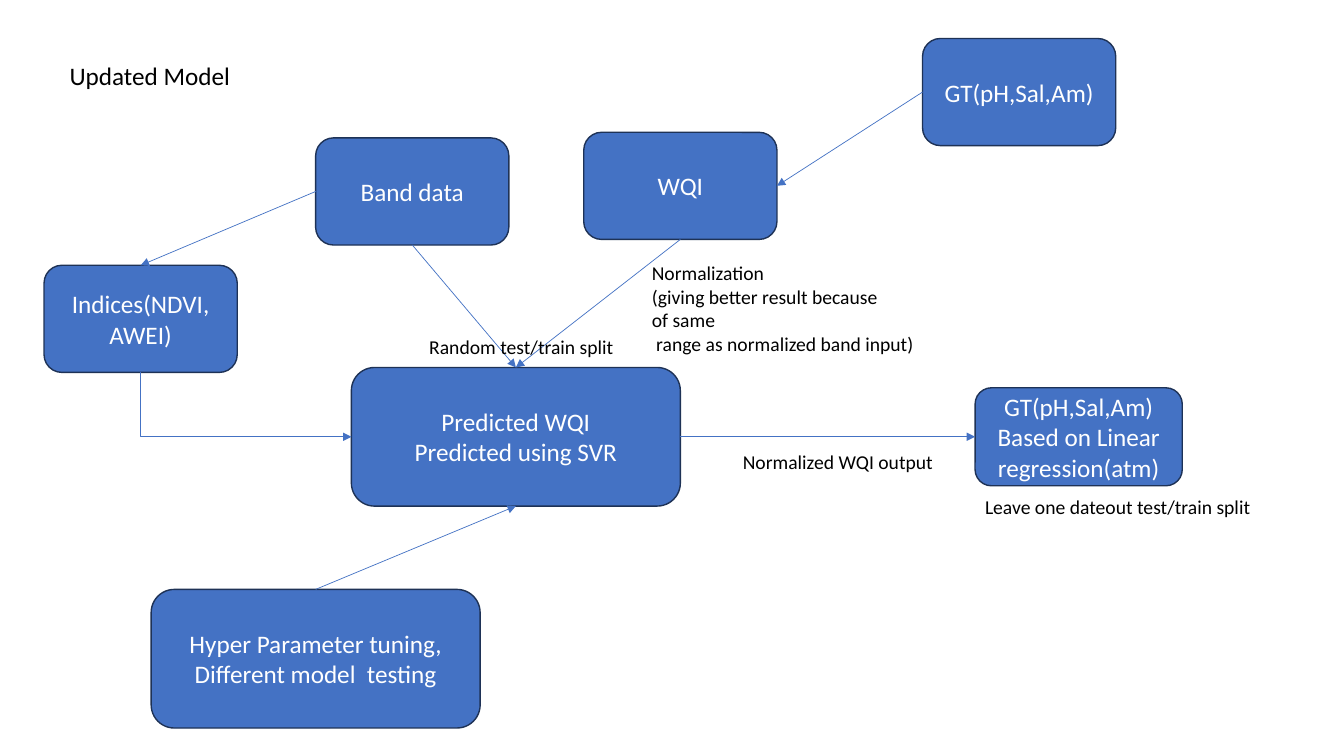
from lxml import etree
from pptx import Presentation
from pptx.dml.color import RGBColor
from pptx.enum.shapes import MSO_CONNECTOR as Link, MSO_SHAPE as Shape
from pptx.enum.text import MSO_ANCHOR as Anchor, MSO_AUTO_SIZE as AutoSize, PP_ALIGN as Align
from pptx.oxml.ns import qn
from pptx.util import Pt

COLORS = {"box": "4472C4", "border": "1E3256", "arrow": "4472C4", "light": "FFFFFF", "dark": "000000"}
TOP, LEFT, BOTTOM, RIGHT = range(4)


def write(frame, text, size, color, align):
    frame.text = text
    for paragraph in frame.paragraphs:
        paragraph.alignment = align
        for run in paragraph.runs:
            run.font.size = Pt(size)
            run.font.name = "Calibri"
            run.font.color.rgb = RGBColor.from_string(COLORS[color])


def connect(kind, source, source_side, target, target_side):
    arrow = slide.shapes.add_connector(kind, 0, 0, 0, 0)
    arrow.begin_connect(source, source_side)
    arrow.end_connect(target, target_side)
    arrow.line.color.rgb = RGBColor.from_string(COLORS["arrow"])
    arrow.line.width = Pt(0.5)
    etree.SubElement(arrow.line._get_or_add_ln(), qn("a:tailEnd"), type="triangle")
    etree.SubElement(arrow._element.spPr, qn("a:effectLst"))
    return arrow


prs = Presentation()
prs.slide_width, prs.slide_height = Pt(960), Pt(540)
slide = prs.slides.add_slide(prs.slide_layouts[5])

title = slide.shapes.title
title.left, title.top, title.width, title.height = Pt(42.5), Pt(39.5), Pt(171.5), Pt(29)
write(title.text_frame, "Updated Model", 18, "dark", Align.LEFT)
title.text_frame.vertical_anchor = Anchor.TOP
title.text_frame.auto_size = AutoSize.NONE

small, large, output = (138, 76.5), (235, 99), (148, 70)
steps = {
    "bands": (225.5, 98.5, small, "Band data"),
    "wqi": (417, 94.5, small, "WQI"),
    "ground_truth": (659, 27.5, small, "GT(pH,Sal,Am)"),
    "regression": (696.5, 277, output, "GT(pH,Sal,Am)\nBased on Linear regression(atm)"),
    "prediction": (251, 262.5, large, "Predicted WQI\nPredicted using SVR"),
    "tuning": (108, 421, large, "Hyper Parameter tuning, Different model  testing"),
    "indices": (31.5, 189.5, small, "Indices(NDVI, AWEI)"),
}
boxes = {}
for step, (left, top, (width, height), text) in steps.items():
    box = slide.shapes.add_shape(Shape.ROUNDED_RECTANGLE, Pt(left), Pt(top), Pt(width), Pt(height))
    box.shadow.inherit = False
    box.fill.solid()
    box.fill.fore_color.rgb = RGBColor.from_string(COLORS["box"])
    box.line.color.rgb = RGBColor.from_string(COLORS["border"])
    box.line.width = Pt(1)
    box.text_frame.word_wrap = True
    box.text_frame.vertical_anchor = Anchor.MIDDLE
    write(box.text_frame, text, 18, "light", Align.CENTER)
    boxes[step] = box

flows = [
    ("ground_truth", LEFT, "wqi", RIGHT),
    ("wqi", BOTTOM, "prediction", TOP),
    ("bands", BOTTOM, "prediction", TOP),
    ("prediction", RIGHT, "regression", LEFT),
    ("tuning", TOP, "prediction", BOTTOM),
    ("bands", LEFT, "indices", TOP),
]
for source, source_side, target, target_side in flows:
    connect(Link.STRAIGHT, boxes[source], source_side, boxes[target], target_side)

indices_flow = connect(Link.ELBOW, boxes["indices"], BOTTOM, boxes["prediction"], LEFT)
across, down = indices_flow.width, indices_flow.height
indices_flow.left += (across - down) // 2
indices_flow.top += (down - across) // 2
indices_flow.width, indices_flow.height = down, across
indices_flow._element.spPr.find(qn("a:prstGeom")).set("prst", "bentConnector2")
turn = indices_flow._element.spPr.find(qn("a:xfrm"))
turn.set("rot", str(270 * 60000))
turn.set("flipH", "1")

normalization = "Normalization\n(giving better result because\nof same\n range as normalized band input)"
labels = [
    (458.5, 183, 203, 75, normalization),
    (523.5, 317.5, 151, 41, "Normalized WQI output"),
    (299.5, 235.5, 149, 41, "Random test/train split"),
    (696.5, 350, 207, 41, "Leave one dateout test/train split"),
]
for left, top, width, height, text in labels:
    label = slide.shapes.add_textbox(Pt(left), Pt(top), Pt(width), Pt(height))
    label.text_frame.word_wrap = False
    write(label.text_frame, text, 14, "dark", Align.LEFT)

prs.save("out.pptx")
